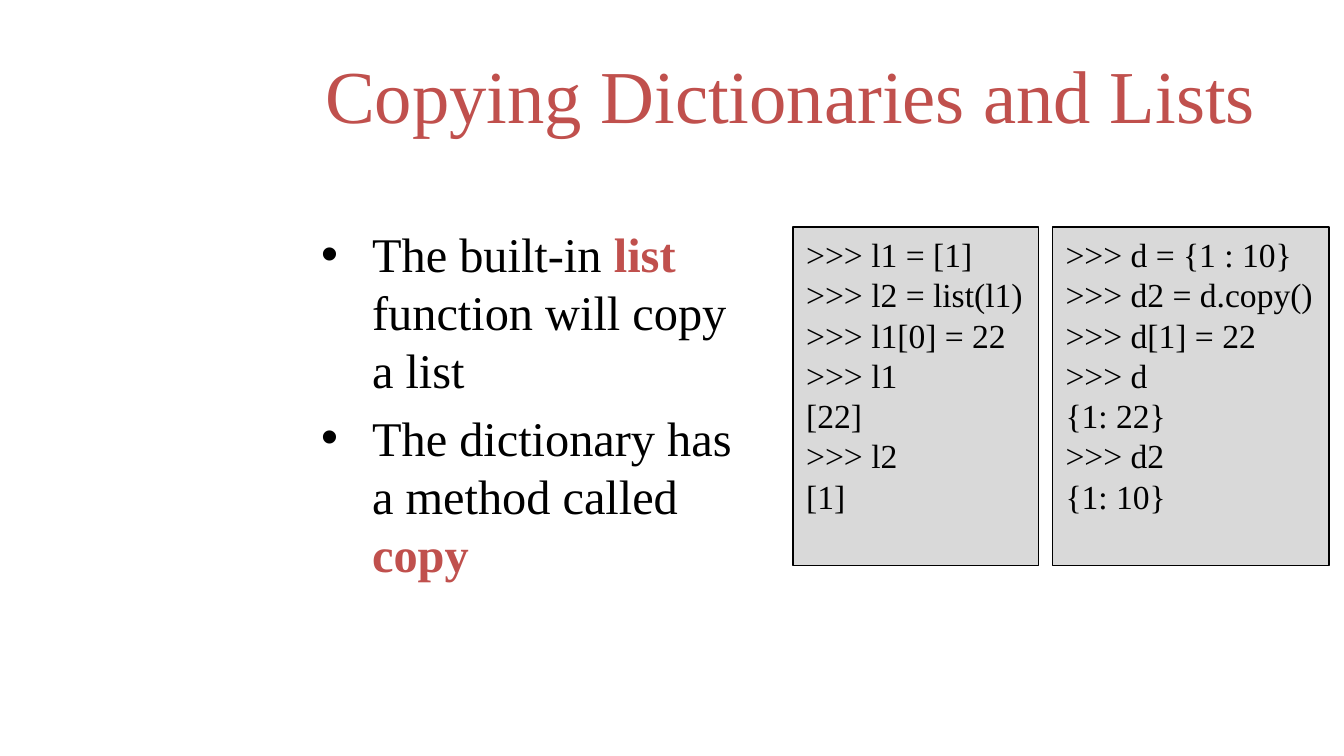
from dataclasses import dataclass

from lxml.etree import SubElement
from pptx import Presentation
from pptx.dml.color import RGBColor
from pptx.enum.shapes import MSO_SHAPE
from pptx.enum.text import MSO_ANCHOR, PP_ALIGN
from pptx.oxml.ns import qn
from pptx.slide import Slide
from pptx.text.text import Font, TextFrame
from pptx.util import Inches, Pt

SLIDE_WIDTH = 10
SLIDE_HEIGHT = SLIDE_WIDTH * 9 / 16
FONT_NAME = "Times New Roman"
RED = "C0504D"
BLACK = "000000"
GRAY = "D9D9D9"
CODE_TOP = 1.69
CODE_HEIGHT = 2.52


@dataclass
class CodePanel:
    left: float
    width: float
    code: str


@dataclass
class Phrase:
    text: str
    highlighted: bool = False


CODE_PANELS = [
    CodePanel(5.9, 1.83, """>>> l1 = [1]
>>> l2 = list(l1)
>>> l1[0] = 22
>>> l1
[22]
>>> l2
[1]"""),
    CodePanel(7.83, 2.06, """>>> d = {1 : 10}
>>> d2 = d.copy()
>>> d[1] = 22
>>> d
{1: 22}
>>> d2
{1: 10}"""),
]

BULLETS = [
    [Phrase("The built-in "), Phrase("list", True), Phrase(" function will copy a list")],
    [Phrase("The dictionary has a method called "), Phrase("copy", True)],
]


def color(value: str) -> RGBColor:
    return RGBColor.from_string(value)


def style_font(font: Font, size: float, value: str) -> None:
    font.name = FONT_NAME
    font.size = Pt(size)
    font.color.rgb = color(value)


def add_text_frame(slide: Slide, left: float, top: float, width: float, height: float) -> TextFrame:
    box = slide.shapes.add_textbox(Inches(left), Inches(top), Inches(width), Inches(height))
    box.text_frame.word_wrap = True
    return box.text_frame


def add_title(slide: Slide, text: str) -> None:
    frame = add_text_frame(slide, 2.32, 0.23, 7.18, 0.94)
    frame.vertical_anchor = MSO_ANCHOR.MIDDLE
    paragraph = frame.paragraphs[0]
    paragraph.text = text
    style_font(paragraph.font, 40, RED)


def add_bullets(slide: Slide, bullets: list[list[Phrase]]) -> None:
    frame = add_text_frame(slide, 2.29, 1.62, 3.42, 2.43)
    for index, phrases in enumerate(bullets):
        paragraph = frame.add_paragraph() if index else frame.paragraphs[0]
        if index:
            paragraph.space_before = Pt(5.2)
        properties = paragraph._p.get_or_add_pPr()
        properties.set("marL", str(Inches(0.38)))
        properties.set("indent", str(Inches(-0.38)))
        SubElement(properties, qn("a:buFont"), typeface="Arial")
        SubElement(properties, qn("a:buChar"), char="•")
        style_font(paragraph.font, 25.9, BLACK)
        for phrase in phrases:
            run = paragraph.add_run()
            run.text = phrase.text
            style_font(run.font, 25.9, RED if phrase.highlighted else BLACK)
            run.font.bold = phrase.highlighted


def add_code_panel(slide: Slide, panel: CodePanel) -> None:
    shape = slide.shapes.add_shape(
        MSO_SHAPE.RECTANGLE,
        Inches(panel.left), Inches(CODE_TOP), Inches(panel.width), Inches(CODE_HEIGHT),
    )
    shape.shadow.inherit = False
    shape.fill.solid()
    shape.fill.fore_color.rgb = color(GRAY)
    shape.line.color.rgb = color(BLACK)
    shape.line.width = Pt(0.75)
    frame = shape.text_frame
    frame.word_wrap = False
    frame.vertical_anchor = MSO_ANCHOR.TOP
    frame.text = panel.code
    for paragraph in frame.paragraphs:
        paragraph.alignment = PP_ALIGN.LEFT
        style_font(paragraph.font, 18, BLACK)


def main() -> None:
    presentation = Presentation()
    presentation.slide_width = Inches(SLIDE_WIDTH)
    presentation.slide_height = Inches(SLIDE_HEIGHT)
    slide = presentation.slides.add_slide(presentation.slide_layouts[6])
    add_title(slide, "Copying Dictionaries and Lists")
    add_bullets(slide, BULLETS)
    for panel in CODE_PANELS:
        add_code_panel(slide, panel)
    presentation.save("out.pptx")


if __name__ == "__main__":
    main()
